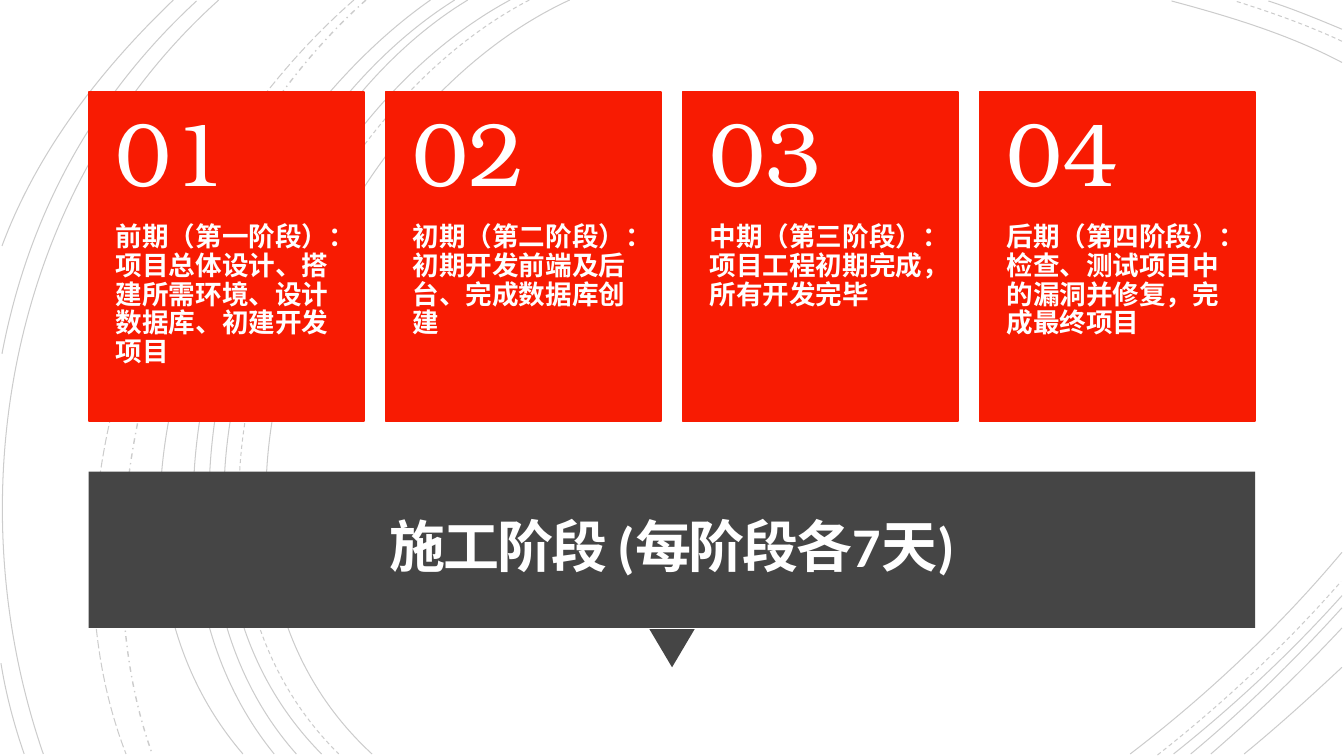
from lxml.etree import SubElement
from pptx import Presentation
from pptx.dml.color import RGBColor
from pptx.enum.dml import MSO_LINE
from pptx.enum.shapes import MSO_SHAPE
from pptx.enum.text import MSO_ANCHOR, MSO_AUTO_SIZE, PP_ALIGN
from pptx.oxml.ns import qn
from pptx.util import Inches, Pt

RED, GRAY, WHITE = "F81B02", "454545", "FFFFFF"
SERIF = "TeX Gyre Bonum"


def paint(color, value):
    """Set a fill's, line's or font's colour from a hex string."""
    color.rgb = RGBColor.from_string(value)


def write(box, text, size, font, bold, space, anchor, pads):
    """Fill a box with one white run; pads are left, top, right, bottom inches."""
    frame = box.text_frame
    frame.word_wrap = True
    frame.auto_size = MSO_AUTO_SIZE.NONE
    frame.vertical_anchor = anchor
    (frame.margin_left, frame.margin_top,
     frame.margin_right, frame.margin_bottom) = map(Inches, pads)
    para = frame.paragraphs[0]
    para.line_spacing = space
    run = para.add_run()
    run.text = text
    run.font.size = Pt(size)
    run.font.name = font
    run.font.bold = bold
    paint(run.font.color, WHITE)
    return para, run


deck = Presentation()
deck.slide_width, deck.slide_height = Inches(13.33), Inches(7.5)
slide = deck.slides.add_slide(deck.slide_layouts[5])
shapes = slide.shapes
slide.background.fill.solid()
paint(slide.background.fill.fore_color, WHITE)

# Background arcs: start, two control points, end
solid = [
    [(5.65, 0), (3.15, 1.15), (1.43, 5.4), (3.69, 7.48)],
    [(13.31, 0.62), (12.78, 0.34), (12.18, 0.16), (11.62, 0.01)],
    [(11.21, 7.48), (11.97, 6.9), (12.69, 6.22), (13.31, 5.48)],
    [(5.06, 0), (2.7, 1.27), (1.1, 5.37), (3.19, 7.48)],
    [(13.31, 0.29), (13.07, 0.19), (12.83, 0.09), (12.58, 0.01)],
    [(11.64, 7.48), (12.23, 7.01), (12.8, 6.48), (13.31, 5.91)],
    [(4.64, 0), (2.44, 1.33), (1.1, 5.41), (2.94, 7.48)],
    [(11.81, 7.48), (12.34, 7.04), (12.84, 6.55), (13.31, 6.03)],
    [(4.51, 0), (2.31, 1.38), (0.97, 5.33), (2.72, 7.48)],
    [(12.01, 7.48), (12.46, 7.09), (12.9, 6.67), (13.31, 6.23)],
    [(4.27, 0), (2.17, 1.47), (0.53, 5.29), (2.41, 7.48)],
    [(12.34, 7.48), (12.67, 7.21), (12.99, 6.92), (13.31, 6.62)],
    [(2.17, 0), (0.11, 1.85), (-0.46, 4.9), (0.43, 7.48)],
    [(1.95, 0.01), (0.92, 0.96), (0.28, 2.14), (0.02, 3.51)],
    [(0.01, 6.58), (0.06, 6.89), (0.14, 7.19), (0.24, 7.48)],
    [(1.72, 0), (1, 0.69), (0.37, 1.5), (0.02, 2.44)],
]
dashed = [
    [(5.25, 0), (2.85, 1.25), (1.23, 5.37), (3.36, 7.48)],
    [(13.31, 0.41), (12.97, 0.25), (12.6, 0.12), (12.25, 0.01)],
    [(11.48, 7.49), (12.13, 6.98), (12.75, 6.4), (13.3, 5.77)],
]
dotted = [[(3.63, 0), (1.76, 1.66), (0.65, 5.09), (1.51, 7.48)]]
long = [[(3.51, 0), (1.57, 1.69), (0.29, 4.99), (1.25, 7.48)]]

for arcs, dash, width in [
    (solid, MSO_LINE.SOLID, 0.75),
    (dashed, MSO_LINE.DASH, 0.75),
    (dotted, MSO_LINE.DASH_DOT, 1),
    (long, MSO_LINE.LONG_DASH, 0.75),
]:
    for points in arcs:
        start, *rest = [(Inches(x), Inches(y)) for x, y in points]
        pen = shapes.build_freeform(*start)
        pen.add_line_segments(rest, close=False)
        arc = pen.convert_to_shape()
        arc.shadow.inherit = False
        arc.fill.background()
        paint(arc.line.color, "000000")
        arc.line.width = Pt(width)
        arc.line.dash_style = dash
        tint = arc.line._ln.find(".//" + qn("a:srgbClr"))
        SubElement(tint, qn("a:alpha")).set("val", "20000")
        # Turn the three straight segments into one cubic curve
        steps = arc._element.xpath(".//a:lnTo")
        curve = SubElement(steps[0].getparent(), qn("a:cubicBezTo"))
        for step in steps:
            curve.append(step[0])
            step.getparent().remove(step)

# Title bar with its pointer
for kind, turn, *place in [
    (MSO_SHAPE.ISOSCELES_TRIANGLE, 180, 6.44, 6.24, 0.45, 0.38),
    (MSO_SHAPE.RECTANGLE, 0, 0.88, 4.68, 11.57, 1.55),
]:
    part = shapes.add_shape(kind, *map(Inches, place))
    part.rotation = turn
    part.shadow.inherit = False
    part.fill.solid()
    paint(part.fill.fore_color, GRAY)
    part.line.fill.background()

title = shapes.title
title.left, title.top, title.width, title.height = map(
    Inches, (0.97, 4.78, 11.39, 1.37))
para, run = write(title, "施工阶段 (每阶段各7天)", 40, "Calibri", True,
                  0.85, MSO_ANCHOR.MIDDLE, [0.25] * 4)
para.alignment = PP_ALIGN.CENTER
run.font._element.set("spc", "-150")
shapes._spTree.append(title._element)  # bring in front of the bar

# Stage cards
stages = [
    "前期（第一阶段）：项目总体设计、搭建所需环境、设计数据库、初建开发项目",
    "初期（第二阶段）：初期开发前端及后台、完成数据库创建",
    "中期（第三阶段）：项目工程初期完成，所有开发完毕",
    "后期（第四阶段）：检查、测试项目中的漏洞并修复，完成最终项目",
]
top, wide, head, body = Inches(0.91), Inches(2.73), Inches(1.31), Inches(1.96)
for i, stage in enumerate(stages):
    left = Inches(0.88 + i * 2.945)
    card = shapes.add_shape(MSO_SHAPE.RECTANGLE, left, top, wide, head + body)
    card.shadow.inherit = False
    card.fill.solid()
    paint(card.fill.fore_color, RED)
    paint(card.line.color, RED)
    card.line.width = Pt(1.25)
    note = shapes.add_textbox(left, top + head, wide, body)
    write(note, stage, 19, SERIF, True, 0.9,
          MSO_ANCHOR.TOP, (0.27, 0, 0.27, 0.36))
    label = shapes.add_textbox(left, top, wide, head)
    write(label, f"{i + 1:02}", 64, SERIF, False, 0.9,
          MSO_ANCHOR.MIDDLE, (0.27, 0.18, 0.27, 0.18))

deck.save("out.pptx")
